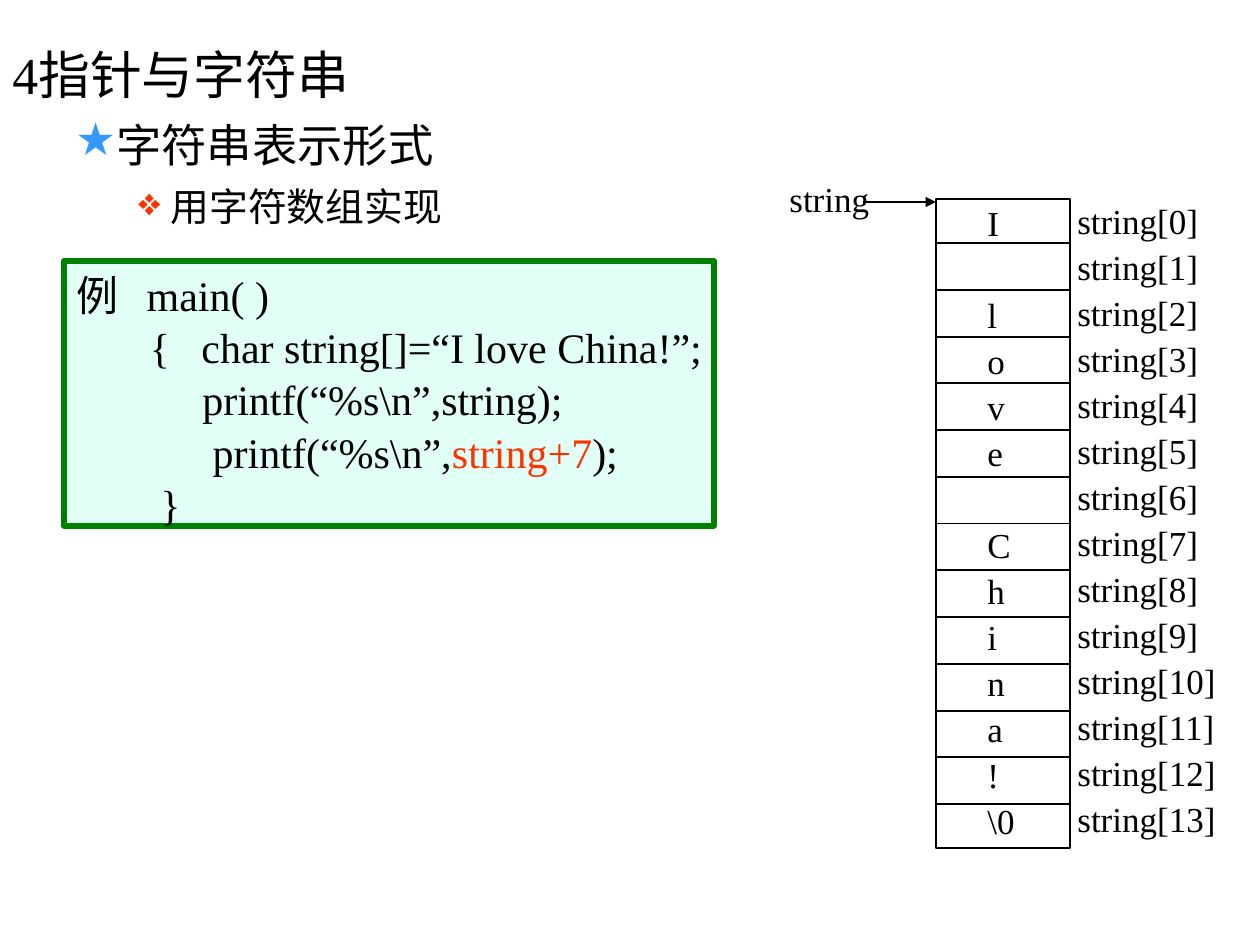
from lxml.etree import SubElement
from pptx import Presentation
from pptx.dml.color import RGBColor
from pptx.enum.shapes import MSO_CONNECTOR, MSO_SHAPE
from pptx.enum.text import MSO_ANCHOR, PP_ALIGN
from pptx.oxml.ns import qn
from pptx.util import Emu, Pt

PX_PER_INCH = 126
FONT = "Times New Roman"
COLORS = {
    "ink": "000000",
    "star": "3399FF",
    "accent": "FF3300",
    "code_fill": "E1FFF7",
    "code_line": "008000",
}

# text, size, left margin, hanging indent, space before, bullet, bullet colour
HEADINGS = [
    ("4指针与字符串", 29.6, 48, -48, 0, None, None),
    ("字符串表示形式", 25.9, 102, -39, 7, "★", "star"),
    ("用字符数组实现", 22.2, 158, -32, 6, "❖", "accent"),
]
CODE_LINES = [
    [("例   main( )", "ink")],
    [("       {   char string[]=“I love China!”;", "ink")],
    [("            printf(“%s\\n”,string);", "ink")],
    [("             printf(“%s\\n”,", "ink"), ("string+7", "accent"), (");", "ink")],
    [("        }", "ink")],
]
CHARACTERS = list("I love China!") + ["\\0"]


def px(length):
    return Emu(round(length * 914400 / PX_PER_INCH))


def color(name):
    return RGBColor.from_string(COLORS[name])


def add_run(paragraph, text, size, color_name="ink"):
    run = paragraph.add_run()
    run.text = text
    run.font.name = FONT
    run.font.size = Pt(size)
    run.font.color.rgb = color(color_name)


def add_text_box(slide, left, top, width, height):
    box = slide.shapes.add_textbox(px(left), px(top), px(width), px(height))
    box.text_frame.word_wrap = True
    return box.text_frame


def add_label(slide, text, left, top, width):
    frame = add_text_box(slide, left, top, width, 55)
    add_run(frame.paragraphs[0], text, 20)


def add_line(slide, start_x, start_y, end_x, end_y):
    line = slide.shapes.add_connector(
        MSO_CONNECTOR.STRAIGHT, px(start_x), px(start_y), px(end_x), px(end_y))
    line.line.color.rgb = color("ink")
    line.line.width = Pt(0.75)
    SubElement(line._element.spPr, qn("a:effectLst"))
    return line


def add_rectangle(slide, left, top, width, height, line_color, line_width):
    shape = slide.shapes.add_shape(
        MSO_SHAPE.RECTANGLE, px(left), px(top), px(width), px(height))
    shape.shadow.inherit = False
    shape.fill.background()
    shape.line.color.rgb = color(line_color)
    shape.line.width = Pt(line_width)
    return shape


def set_indent(paragraph, margin, indent, bullet, bullet_color):
    properties = paragraph._p.get_or_add_pPr()
    properties.set("marL", str(px(margin)))
    properties.set("indent", str(px(indent)))
    if bullet:
        fill = SubElement(properties, qn("a:buClr"))
        SubElement(fill, qn("a:srgbClr"), val=COLORS[bullet_color])
        SubElement(properties, qn("a:buChar"), char=bullet)
    else:
        SubElement(properties, qn("a:buNone"))


def add_headings(slide, left, top, width, height):
    frame = add_text_box(slide, left, top, width, height)
    for index, heading in enumerate(HEADINGS):
        text, size, margin, indent, space, bullet, bullet_color = heading
        paragraph = frame.add_paragraph() if index else frame.paragraphs[0]
        set_indent(paragraph, margin, indent, bullet, bullet_color)
        if space:
            paragraph.space_before = Pt(space)
        add_run(paragraph, text, size)


def add_code_box(slide, left, top, width, height):
    box = add_rectangle(slide, left, top, width, height, "code_line", 3)
    box.fill.solid()
    box.fill.fore_color.rgb = color("code_fill")
    frame = box.text_frame
    frame.word_wrap = False
    frame.vertical_anchor = MSO_ANCHOR.TOP
    for index, runs in enumerate(CODE_LINES):
        paragraph = frame.add_paragraph() if index else frame.paragraphs[0]
        paragraph.alignment = PP_ALIGN.LEFT
        paragraph.line_spacing = 1.04
        for text, color_name in runs:
            add_run(paragraph, text, 24, color_name)


def add_memory_column(slide, left, top, width, height):
    """Draw the character cells, their index labels and the array pointer."""
    text_pitch = 46
    for index, character in enumerate(CHARACTERS):
        row_top = top + index * text_pitch
        if character != " ":
            add_label(slide, character, left + 39, row_top - 4, 56)
        add_label(slide, f"string[{index}]", left + 129, row_top - 6,
                  150 if index < 10 else 168)

    arrow = add_line(slide, left - 73, top + 3, left, top + 3)
    SubElement(arrow.line._get_or_add_ln(), qn("a:tailEnd"), type="triangle")
    add_label(slide, "string", left - 159, top - 28, 108)

    outline = add_rectangle(slide, left, top, width, height, "ink", 0.75)
    edge_row = 44
    divider_count = len(CHARACTERS) - 1
    pitch = (height - 2 * edge_row) / (divider_count - 1)
    for index in range(divider_count):
        y = top + round(edge_row + index * pitch)
        divider = add_line(slide, left, y, left + width, y)
        if index == divider_count // 2:
            divider.begin_connect(outline, 1)
            divider.end_connect(outline, 3)


def main():
    presentation = Presentation()
    presentation.slide_width = px(1260)
    presentation.slide_height = px(945)
    slide = presentation.slides.add_slide(presentation.slide_layouts[6])
    add_headings(slide, 0, 37, 1186, 208)
    add_code_box(slide, 64, 261, 650, 265)
    add_memory_column(slide, 936, 199, 134, 649)
    presentation.save("out.pptx")


if __name__ == "__main__":
    main()
